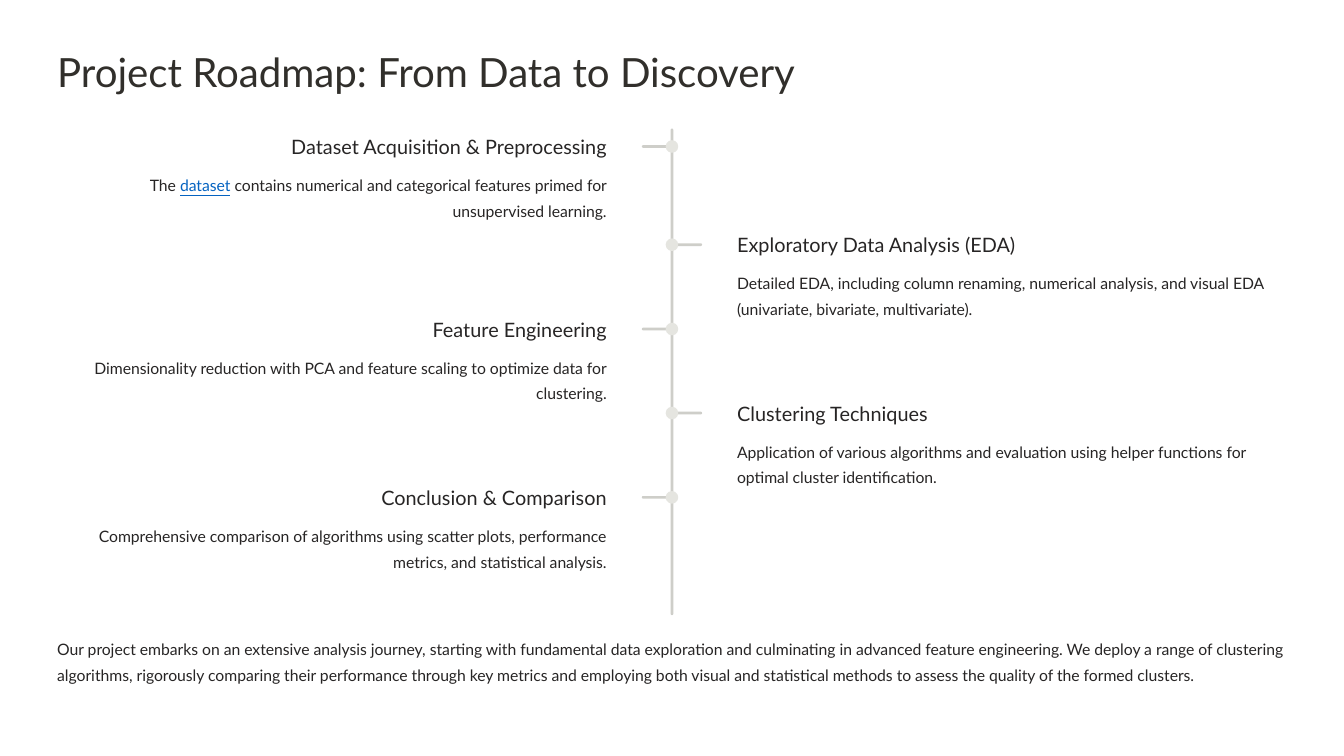
"""Builds the project roadmap slide: a central timeline with alternating stages."""
from dataclasses import dataclass

from pptx import Presentation
from pptx.dml.color import RGBColor
from pptx.enum.shapes import MSO_SHAPE as Preset
from pptx.enum.text import MSO_ANCHOR as Anchor, MSO_AUTO_SIZE as AutoSize, PP_ALIGN as Align
from pptx.shapes.base import BaseShape
from pptx.slide import Slide
from pptx.util import Cm, Pt

FONT = "Lato"
TITLE_INK = RGBColor(0x31, 0x2F, 0x2B)
INK = RGBColor(0x27, 0x25, 0x25)
LINK = RGBColor(0x05, 0x63, 0xC1)
RAIL = RGBColor(0xCE, 0xCE, 0xC9)
DOT = RGBColor(0xE5, 0xE5, 0xE0)

SLIDE_WIDTH, SLIDE_HEIGHT = 40.64, 22.86
AXIS = SLIDE_WIDTH / 2
MARGIN = 1.73
STAGE_WIDTH = 16.62
RAIL_WEIGHT = 0.08
TICK_LENGTH = 0.99
DOT_SIZE = 0.38


@dataclass(frozen=True)
class TextStyle:
    size: float
    line_height: float
    color: RGBColor = INK
    wrap: bool = True


@dataclass(frozen=True)
class Stage:
    middle: float
    heading: str
    heading_width: float
    detail: str
    on_left: bool
    linked_word: str = ""


TITLE = TextStyle(34.5, 43.5, TITLE_INK, wrap=False)
HEADING = TextStyle(17, 21.5, wrap=False)
BODY = TextStyle(13.5, 22)

STAGES = [
    Stage(4.43, "Dataset Acquisition & Preprocessing", 9.88,
          "The dataset contains numerical and categorical features primed for "
          "unsupervised learning.", True, "dataset"),
    Stage(7.4, "Exploratory Data Analysis (EDA)", 8.99,
          "Detailed EDA, including column renaming, numerical analysis, and visual EDA "
          "(univariate, bivariate, multivariate).", False),
    Stage(9.95, "Feature Engineering", 6.15,
          "Dimensionality reduction with PCA and feature scaling to optimize data for "
          "clustering.", True),
    Stage(12.49, "Clustering Techniques", 6.15,
          "Application of various algorithms and evaluation using helper functions for "
          "optimal cluster identification.", False),
    Stage(15.04, "Conclusion & Comparison", 7.11,
          "Comprehensive comparison of algorithms using scatter plots, performance "
          "metrics, and statistical analysis.", True),
]

SUMMARY = (
    "Our project embarks on an extensive analysis journey, starting with fundamental data "
    "exploration and culminating in advanced feature engineering. We deploy a range of "
    "clustering algorithms, rigorously comparing their performance through key metrics and "
    "employing both visual and statistical methods to assess the quality of the formed clusters."
)


def write(box: BaseShape, text: str, style: TextStyle,
          align: Align = Align.LEFT, linked_word: str = "") -> None:
    frame = box.text_frame
    frame.margin_left = frame.margin_top = frame.margin_right = frame.margin_bottom = 0
    frame.auto_size = AutoSize.NONE
    frame.vertical_anchor = Anchor.TOP
    frame.word_wrap = style.wrap
    paragraph = frame.paragraphs[0]
    paragraph.alignment = align
    paragraph.line_spacing = Pt(style.line_height)
    paragraph.font.name = FONT
    paragraph.font.size = Pt(style.size)
    paragraph.font.color.rgb = style.color
    parts = text.partition(linked_word) if linked_word else (text,)
    for part in parts:
        run = paragraph.add_run()
        run.text = part
        if part == linked_word:
            run.font.color.rgb = LINK
            run.font.underline = True


def add_text(slide: Slide, left: float, top: float, width: float, height: float,
             text: str, style: TextStyle, align: Align = Align.LEFT,
             linked_word: str = "") -> None:
    box = slide.shapes.add_textbox(Cm(left), Cm(top), Cm(width), Cm(height))
    write(box, text, style, align, linked_word)


def add_pill(slide: Slide, left: float, top: float, width: float, height: float,
             color: RGBColor) -> None:
    pill = slide.shapes.add_shape(Preset.ROUNDED_RECTANGLE,
                                  Cm(left), Cm(top), Cm(width), Cm(height))
    pill.adjustments[0] = 0.5
    pill.shadow.inherit = False
    pill.fill.solid()
    pill.fill.fore_color.rgb = color
    pill.line.fill.background()


def add_stage(slide: Slide, stage: Stage) -> None:
    if stage.on_left:
        align = Align.RIGHT
        tick_left = AXIS + RAIL_WEIGHT - TICK_LENGTH
        detail_left = MARGIN
        heading_left = MARGIN + STAGE_WIDTH - stage.heading_width
    else:
        align = Align.LEFT
        tick_left = AXIS - RAIL_WEIGHT
        detail_left = heading_left = SLIDE_WIDTH - MARGIN - STAGE_WIDTH
    add_pill(slide, tick_left, stage.middle - RAIL_WEIGHT / 2, TICK_LENGTH, RAIL_WEIGHT, RAIL)
    add_pill(slide, AXIS - DOT_SIZE / 2, stage.middle - DOT_SIZE / 2, DOT_SIZE, DOT_SIZE, DOT)
    add_text(slide, heading_left, stage.middle - 0.39, stage.heading_width, 0.76,
             stage.heading, HEADING, align)
    add_text(slide, detail_left, stage.middle + 0.68, STAGE_WIDTH, 1.57,
             stage.detail, BODY, align, stage.linked_word)


def main() -> None:
    deck = Presentation()
    deck.slide_width, deck.slide_height = Cm(SLIDE_WIDTH), Cm(SLIDE_HEIGHT)
    slide = deck.slides.add_slide(deck.slide_layouts[5])

    title = slide.shapes.title
    title.left, title.top, title.width, title.height = Cm(MARGIN), Cm(1.35), Cm(23.01), Cm(1.55)
    write(title, "Project Roadmap: From Data to Discovery", TITLE)

    add_pill(slide, AXIS - RAIL_WEIGHT / 2, 3.89, RAIL_WEIGHT, 14.71, RAIL)
    for stage in STAGES:
        add_stage(slide, stage)
    add_text(slide, MARGIN, 19.15, SLIDE_WIDTH - 2 * MARGIN, 2.36, SUMMARY, BODY)

    deck.save("out.pptx")


if __name__ == "__main__":
    main()
